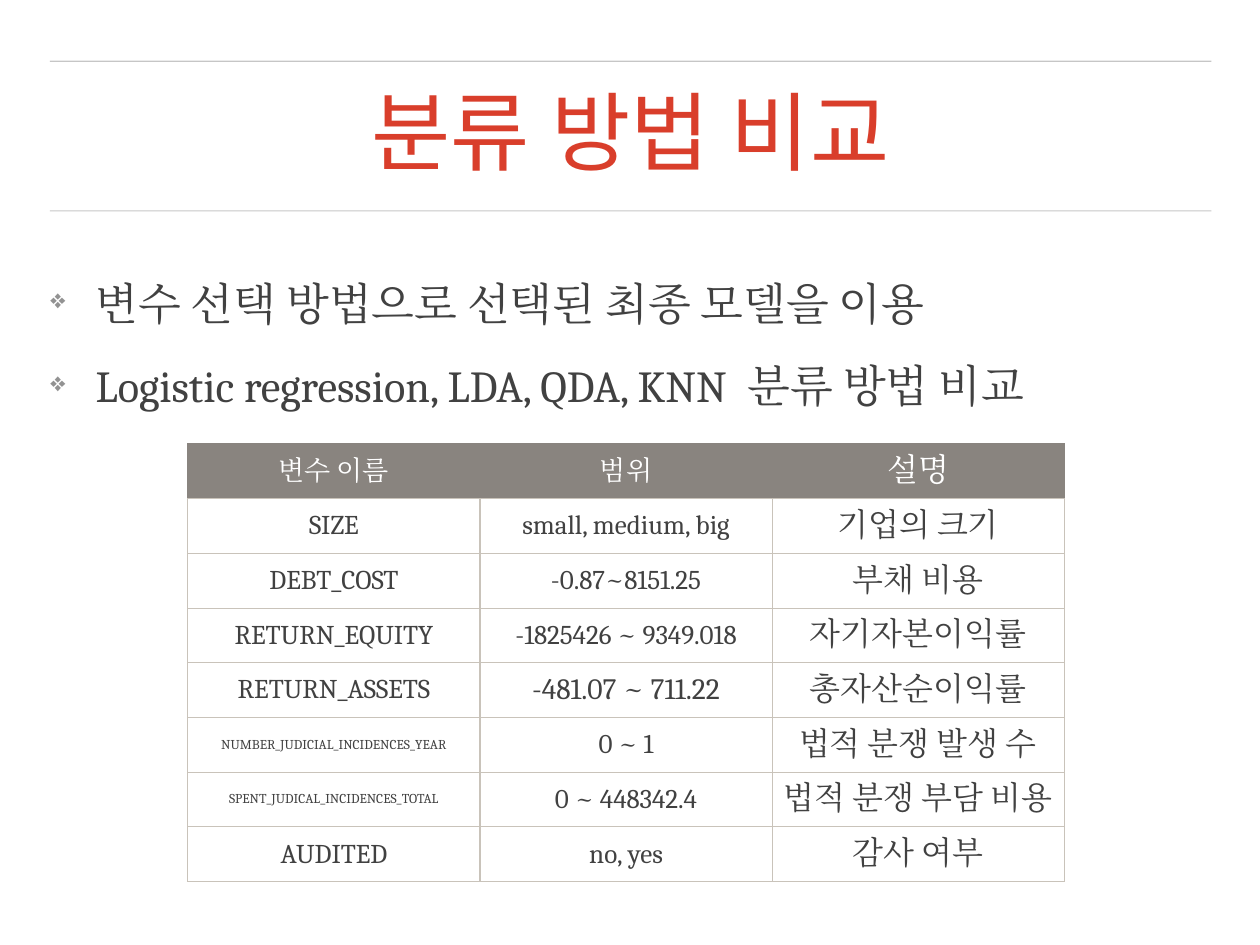
"""Build the slide that compares classification methods."""
from lxml import etree
from pptx import Presentation
from pptx.dml.color import RGBColor
from pptx.enum import shapes, text
from pptx.oxml import ns
from pptx.util import Pt

TITLE = "분류 방법 비교"
BULLETS = [
    [("변수 선택 방법으로 선택된 최종 모델을 이용", 0)],
    [("Logistic regression, LDA, QDA, KNN", 0), (" ", 9), ("분류 방법 비교", 0)],
]
HEADER = [("변수 이름", 22), ("범위", 22), ("설명", 26)]
VARIABLES = [
    [("SIZE", 22), ("small, medium, big", 22), ("기업의 크기", 26)],
    [("DEBT_COST", 22), ("-0.87~8151.25", 22), ("부채 비용", 26)],
    [("RETURN_EQUITY", 22), ("-1825426 ~ 9349.018", 22), ("자기자본이익률", 26)],
    [("RETURN_ASSETS", 22), ("-481.07 ~ 711.22", 24), ("총자산순이익률", 26)],
    [("NUMBER_JUDICIAL_INCIDENCES_YEAR", 11), ("0 ~ 1", 22), ("법적 분쟁 발생 수", 26)],
    [("SPENT_JUDICAL_INCIDENCES_TOTAL", 11), ("0 ~ 448342.4", 22), ("법적 분쟁 부담 비용", 26)],
    [("AUDITED", 22), ("no, yes", 22), ("감사 여부", 26)],
]

RED = RGBColor(0xD9, 0x3E, 0x2B)
DARK = RGBColor(0x41, 0x41, 0x41)
RULE = RGBColor(0x44, 0x44, 0x44)
BULLET = RGBColor(0x92, 0x92, 0x92)
HEADER_FILL = RGBColor(0x89, 0x84, 0x7F)
BORDER = RGBColor(0xC9, 0xC3, 0xBA)
WHITE = RGBColor(0xFF, 0xFF, 0xFF)

WIDTH, HEIGHT = 1024, 768
LEFT, CONTENT_WIDTH = 40.5, 944
RULE_TOPS = (49.7, 171.4)
TABLE_LEFT, TABLE_TOP = 152.7, 360.7
COLUMN_WIDTH, ROW_HEIGHT = 237.4, 44.5


def add_element(parent, tag, **attributes):
    return etree.SubElement(parent, ns.qn(tag), attributes)


def add_run(paragraph, words, size, color, font="Cambria", spacing=0):
    run = paragraph.add_run()
    run.text = words
    run.font.size = Pt(size)
    run.font.bold = False
    run.font.color.rgb = color
    run.font.name = font
    properties = run.font._element
    add_element(properties, "a:ea", typeface=font)
    if spacing:
        properties.set("spc", str(spacing * 100))


def prepare_frame(frame):
    frame.word_wrap = True
    frame.auto_size = text.MSO_AUTO_SIZE.NONE
    frame.vertical_anchor = text.MSO_ANCHOR.MIDDLE
    frame.margin_left = frame.margin_right = 0
    frame.margin_top = frame.margin_bottom = 0


def add_rule(slide, top):
    rule = slide.shapes.add_connector(
        shapes.MSO_CONNECTOR.STRAIGHT, Pt(LEFT), Pt(top), Pt(LEFT + CONTENT_WIDTH), Pt(top))
    rule.line.width = Pt(1)
    rule.line.color.rgb = RULE
    color = rule.line._ln.find(".//" + ns.qn("a:srgbClr"))
    add_element(color, "a:alpha", val="30000")
    add_element(rule._element.spPr, "a:effectLst")


def add_title(slide):
    title = slide.shapes.title
    title.left, title.top = Pt(LEFT), Pt(63.4)
    title.width, title.height = Pt(CONTENT_WIDTH), Pt(95.8)
    prepare_frame(title.text_frame)
    paragraph = title.text_frame.paragraphs[0]
    paragraph.alignment = text.PP_ALIGN.CENTER
    paragraph.line_spacing = 0.9
    paragraph.space_before = Pt(16)
    add_run(paragraph, TITLE, 70, RED, "Roboto")


def add_bullets(slide):
    box = slide.shapes.add_textbox(Pt(LEFT + 0.5), Pt(171.4), Pt(CONTENT_WIDTH), Pt(216))
    frame = box.text_frame
    prepare_frame(frame)
    for index, runs in enumerate(BULLETS):
        paragraph = frame.add_paragraph() if index else frame.paragraphs[0]
        paragraph.space_before = Pt(24)
        properties = paragraph._p.get_or_add_pPr()
        properties.set("marL", str(Pt(36.7)))
        properties.set("indent", str(-Pt(36.7)))
        color = add_element(properties, "a:buClr")
        add_element(color, "a:srgbClr", val=str(BULLET))
        add_element(properties, "a:buSzPct", val="60000")
        add_element(properties, "a:buChar", char="❖")
        for words, spacing in runs:
            add_run(paragraph, words, 36, DARK, spacing=spacing)


def format_cell(cell, words, size, color, fill, border):
    cell.vertical_anchor = text.MSO_ANCHOR.MIDDLE
    cell.margin_left = cell.margin_right = Pt(4)
    cell.margin_top = cell.margin_bottom = Pt(4)
    paragraph = cell.text_frame.paragraphs[0]
    paragraph.alignment = text.PP_ALIGN.CENTER
    add_run(paragraph, words, size, color)
    properties = cell._tc.get_or_add_tcPr()
    for side in ("a:lnL", "a:lnR", "a:lnT", "a:lnB"):
        line = add_element(properties, side, w=str(Pt(1)))
        add_element(add_element(line, "a:solidFill"), "a:srgbClr", val=str(border))
    cell.fill.solid()
    cell.fill.fore_color.rgb = fill


def add_variable_table(slide):
    rows = [HEADER] + VARIABLES
    table = slide.shapes.add_table(
        len(rows), len(HEADER), Pt(TABLE_LEFT), Pt(TABLE_TOP),
        Pt(COLUMN_WIDTH * len(HEADER)), Pt(ROW_HEIGHT * len(rows))).table
    table.first_row = True
    table.horz_banding = False
    for column in table.columns:
        column.width = Pt(COLUMN_WIDTH)
    for row_index, row in enumerate(rows):
        table.rows[row_index].height = Pt(ROW_HEIGHT)
        style = (DARK, WHITE, BORDER) if row_index else (WHITE, HEADER_FILL, HEADER_FILL)
        for column_index, (words, size) in enumerate(row):
            format_cell(table.cell(row_index, column_index), words, size, *style)


def main():
    presentation = Presentation()
    presentation.slide_width, presentation.slide_height = Pt(WIDTH), Pt(HEIGHT)
    slide = presentation.slides.add_slide(presentation.slide_layouts[5])
    for top in RULE_TOPS:
        add_rule(slide, top)
    add_title(slide)
    add_bullets(slide)
    add_variable_table(slide)
    presentation.save("out.pptx")


if __name__ == "__main__":
    main()
